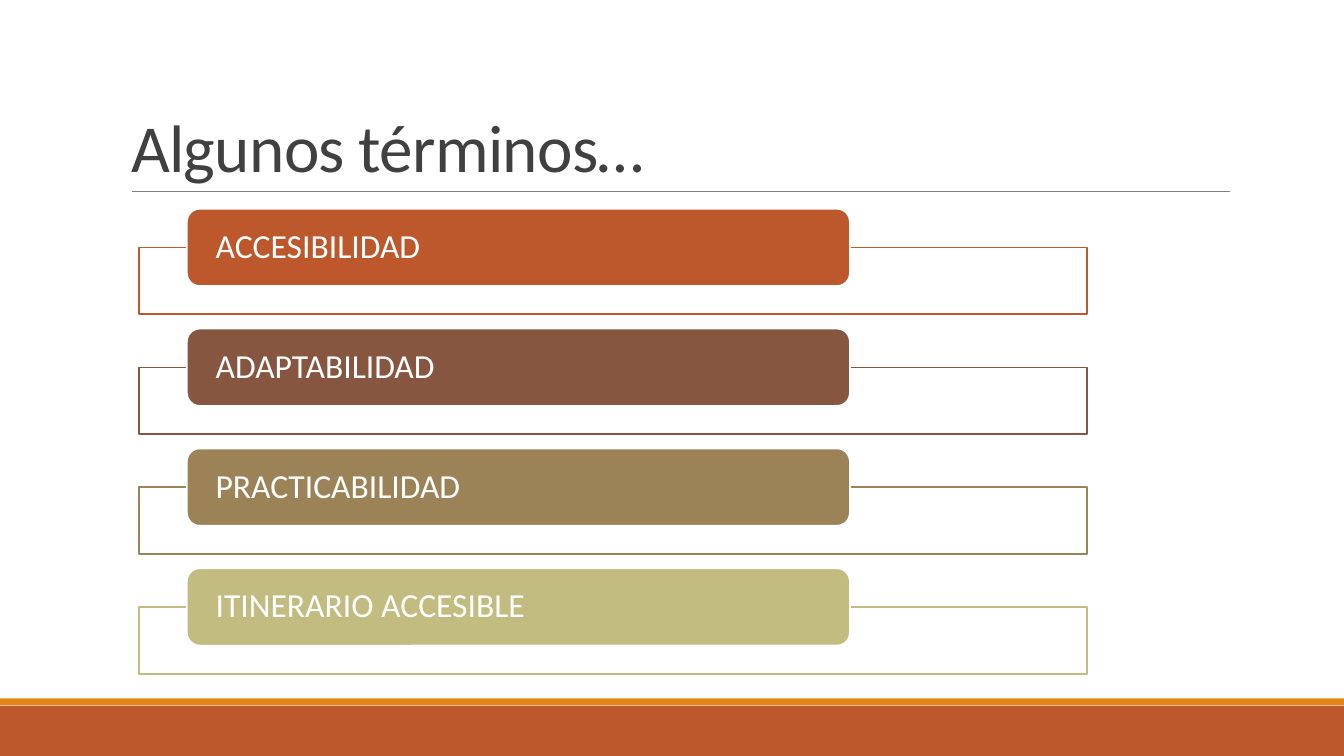
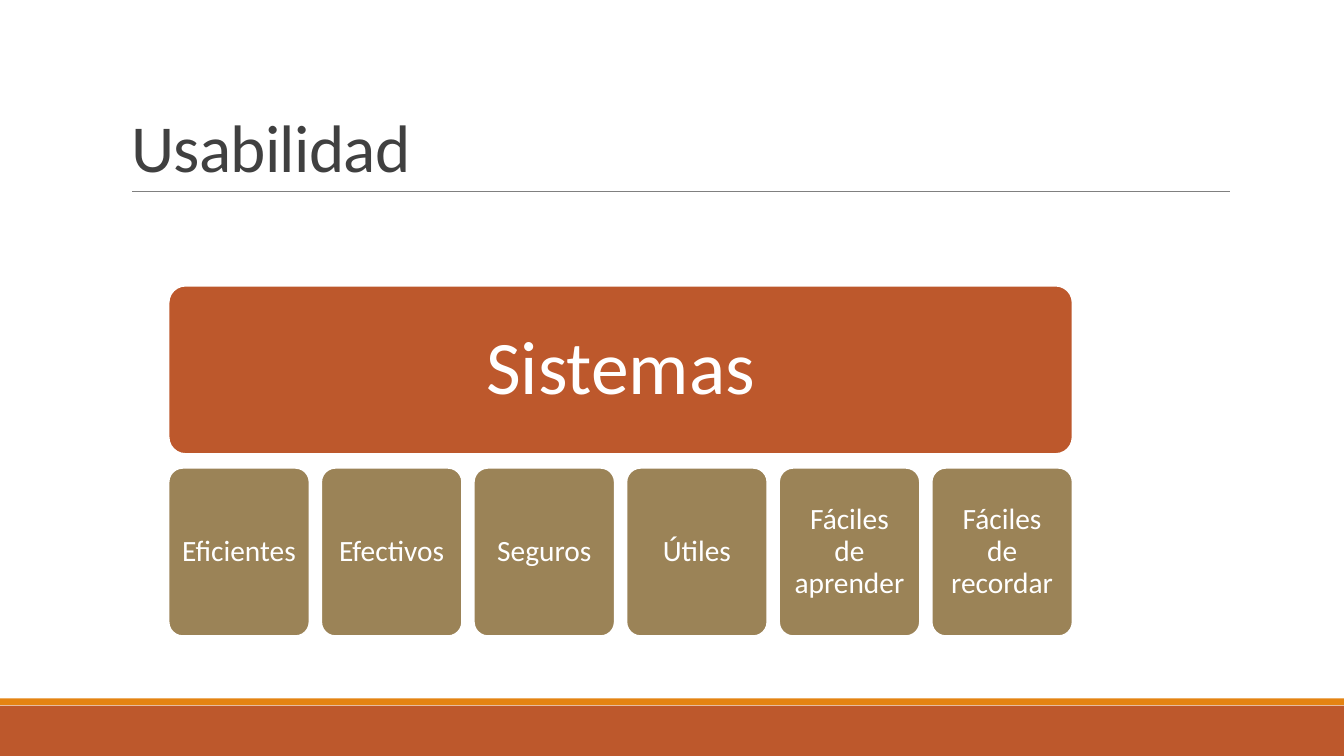
from lxml.etree import SubElement
from pptx import Presentation
from pptx.dml.color import RGBColor
from pptx.enum.shapes import MSO_CONNECTOR as LINK, MSO_SHAPE as SHAPE
from pptx.enum.text import MSO_ANCHOR as ANCHOR, MSO_AUTO_SIZE as FIT, PP_ALIGN as ALIGN
from pptx.oxml.ns import qn
from pptx.util import Cm, Pt

WIDE, HIGH = 33.87, 19.05
FONT = "Calibri"
WHITE = RGBColor(0xFF, 0xFF, 0xFF)
INK = RGBColor(0x40, 0x40, 0x40)
GREY = RGBColor(0x80, 0x80, 0x80)
ORANGE = RGBColor(0xE4, 0x83, 0x12)
RUST = RGBColor(0xBD, 0x58, 0x2C)
BROWN = RGBColor(0x86, 0x56, 0x40)
TAN = RGBColor(0x9B, 0x83, 0x57)
OLIVE = RGBColor(0xC2, 0xBC, 0x80)

TERMS = [
    ("ACCESIBILIDAD", RUST),
    ("ADAPTABILIDAD", BROWN),
    ("PRACTICABILIDAD", TAN),
    ("ITINERARIO ACCESIBLE", OLIVE),
]
TRAITS = ["Eficientes", "Efectivos", "Seguros", "Útiles",
          "Fáciles de aprender", "Fáciles de recordar"]


def add_run(para, text, size, color):
    run = para.add_run()
    run.text = text
    font = run.font
    font.name, font.size = FONT, Pt(size)
    font.color.rgb = color
    return run


def add_block(slide, kind, box, fill, edge=None):
    shape = slide.shapes.add_shape(kind, *map(Cm, box))
    shape.shadow.inherit = False
    shape.fill.solid()
    shape.fill.fore_color.rgb = fill
    if edge is None:
        shape.line.fill.background()
    else:
        shape.line.color.rgb = edge
        shape.line.width = Pt(1.25)
    return shape


def add_card(slide, box, fill, text, size, align, pad, round_by=None):
    """Add a rounded box with white text; pad is its side and top inset."""
    card = add_block(slide, SHAPE.ROUNDED_RECTANGLE, box, fill, WHITE)
    if round_by is not None:
        card.adjustments[0] = round_by
    frame = card.text_frame
    frame.word_wrap = True
    frame.vertical_anchor = ANCHOR.MIDDLE
    frame.margin_left = frame.margin_right = Cm(pad[0])
    frame.margin_top = frame.margin_bottom = Cm(pad[1])
    para = frame.paragraphs[0]
    para.alignment = align
    para.line_spacing = 0.9
    add_run(para, text, size, WHITE)


def add_rule(slide, left, right, top):
    rule = slide.shapes.add_connector(
        LINK.STRAIGHT, Cm(left), Cm(top), Cm(right), Cm(top))
    rule.line.color.rgb = GREY
    rule.line.width = Pt(0.5)
    SubElement(rule._element.spPr, qn("a:effectLst"))


def set_title(slide, text):
    title = slide.shapes.title
    title.left, title.top = Cm(3.05), Cm(0.79)
    title.width, title.height = Cm(27.94), Cm(4.04)
    frame = title.text_frame
    frame.auto_size = FIT.NONE
    frame.word_wrap = True
    frame.vertical_anchor = ANCHOR.BOTTOM
    para = frame.paragraphs[0]
    para.alignment = ALIGN.LEFT
    para.line_spacing = 0.85
    run = add_run(para, text, 48, INK)
    run._r.get_or_add_rPr().set("spc", "-50")


def add_slide(deck, text):
    """Add a slide with the shared bands, rule and title."""
    slide = deck.slides.add_slide(deck.slide_layouts[5])
    add_block(slide, SHAPE.RECTANGLE, (0, 17.78, WIDE, 1.27), RUST)
    add_block(slide, SHAPE.RECTANGLE, (0, 17.6, WIDE, 0.17), ORANGE)
    add_rule(slide, 3.33, 31, 4.83)
    set_title(slide, text)
    return slide


def add_terms(slide):
    for row, (text, color) in enumerate(TERMS):
        top = 5.26 + row * 3.02
        add_block(slide, SHAPE.RECTANGLE, (3.51, top + 0.98, 23.88, 1.68), WHITE, color)
        add_card(slide, (4.71, top, 16.71, 1.95), color, text, 24, ALIGN.LEFT, (0.63, 0))


def add_traits(slide):
    left, wide, high, small = 4.25, 22.78, 4.24, 3.55
    add_card(slide, (left, 7.2, wide, high), RUST, "Sistemas", 54,
             ALIGN.CENTER, (0.58, 0.58), 0.1)
    step = (wide - small) / (len(TRAITS) - 1)
    for col, text in enumerate(TRAITS):
        add_card(slide, (left + col * step, 11.79, small, high), TAN, text, 21,
                 ALIGN.CENTER, (0.23, 0.23), 0.1)


def main():
    deck = Presentation()
    deck.slide_width, deck.slide_height = Cm(WIDE), Cm(HIGH)
    add_terms(add_slide(deck, "Algunos términos…"))
    add_traits(add_slide(deck, "Usabilidad"))
    deck.save("out.pptx")


if __name__ == "__main__":
    main()
